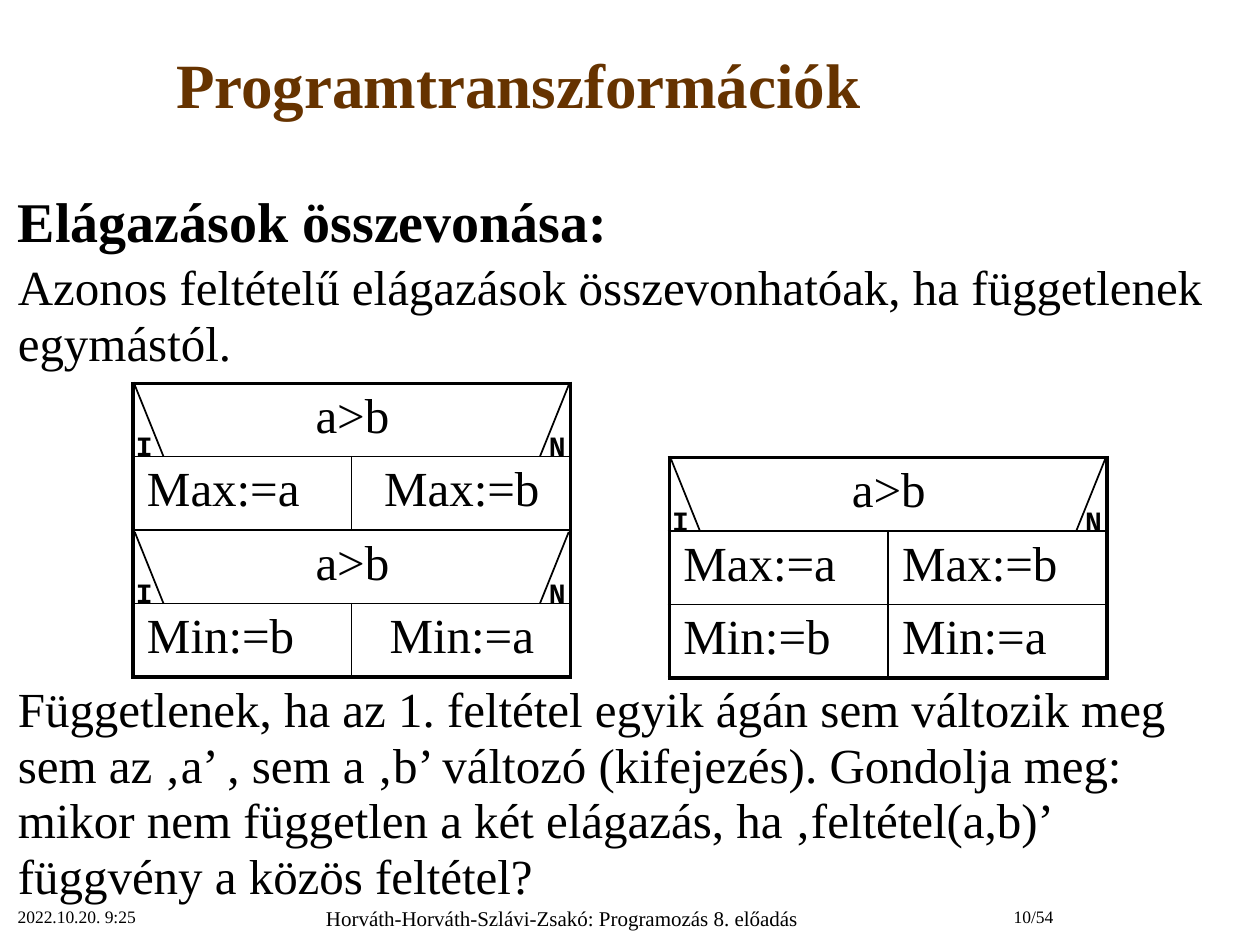
from lxml import etree
from pptx import Presentation
from pptx.dml.color import RGBColor
from pptx.enum import shapes, text
from pptx.oxml import ns
from pptx.util import Pt

SERIF, MONO = "Times New Roman", "Courier New"
BLACK, BROWN = "000000", "663300"
LEFT, CENTER, RIGHT = text.PP_ALIGN.LEFT, text.PP_ALIGN.CENTER, text.PP_ALIGN.RIGHT
THICK, THIN = 2.25, 1
COLUMN, ROW = 125, 42


def color(value):
    return RGBColor.from_string(value)


def place(shape, box):
    for name, value in zip(("left", "top", "width", "height"), box):
        setattr(shape, name, Pt(value))


def write(paragraph, words, size, align=LEFT, font=SERIF, bold=False, ink=BLACK):
    paragraph.alignment = align
    run = paragraph.add_run()
    run.text = words
    for name, value in {"name": font, "size": Pt(size), "bold": bold}.items():
        setattr(run.font, name, value)
    run.font.color.rgb = color(ink)


def add_label(slide, box, words, size, wrap=True, **style):
    label = slide.shapes.add_textbox(*map(Pt, box))
    label.text_frame.word_wrap = wrap
    write(label.text_frame.paragraphs[0], words, size, **style)


def add_title(slide, box, words):
    title = slide.shapes.title
    place(title, box)
    frame = title.text_frame
    frame.auto_size = text.MSO_AUTO_SIZE.NONE
    frame.vertical_anchor = text.MSO_ANCHOR.MIDDLE
    frame.paragraphs[0].line_spacing = 0.9
    write(frame.paragraphs[0], words, 36, CENTER, bold=True, ink=BROWN)


def add_body(slide, box, items):
    """Each item is (words, size, bold, space before)."""
    body = slide.placeholders[1]
    place(body, box)
    frame = body.text_frame
    frame.auto_size = text.MSO_AUTO_SIZE.NONE
    frame.vertical_anchor = text.MSO_ANCHOR.TOP
    for index, (words, size, bold, before) in enumerate(items):
        paragraph = frame.add_paragraph() if index else frame.paragraphs[0]
        write(paragraph, words, size, bold=bold)
        paragraph.line_spacing = 0.95
        paragraph.space_before = Pt(before)
        properties = paragraph._p.get_or_add_pPr()
        properties.set("marL", "0")
        properties.set("indent", "0")
        etree.SubElement(properties, ns.qn("a:buNone"))


def set_borders(cell, widths):
    """Widths are given for left, right, top and bottom."""
    properties = cell._tc.get_or_add_tcPr()
    for index, (side, width) in enumerate(zip("LRTB", widths)):
        line = etree.Element(ns.qn(f"a:ln{side}"), w=str(Pt(width)))
        fill = etree.SubElement(line, ns.qn("a:solidFill"))
        etree.SubElement(fill, ns.qn("a:srgbClr"), val=BLACK)
        properties.insert(index, line)


def add_diagonal(slide, start, end):
    line = slide.shapes.add_connector(
        shapes.MSO_CONNECTOR.STRAIGHT, *map(Pt, start + end))
    line.line.color.rgb = color(BLACK)
    line.line.width = Pt(1)
    etree.SubElement(line._element.spPr, ns.qn("a:effectLst"))


def add_branch(slide, left, top, condition, steps, no_align=LEFT,
               top_edge=THICK, bottom_edge=THICK):
    """Structogram of a branch: condition above, yes and no steps below."""
    rows = [(condition, ""), *steps]
    width, last = 2 * COLUMN, len(rows) - 1
    grid = slide.shapes.add_table(
        len(rows), 2, *map(Pt, (left, top, width, ROW * len(rows)))).table
    grid.first_row = grid.horz_banding = False
    for column in grid.columns:
        column.width = Pt(COLUMN)
    grid.cell(0, 0).merge(grid.cell(0, 1))

    for r, row in enumerate(rows):
        grid.rows[r].height = Pt(ROW)
        for c, words in enumerate(row):
            cell = grid.cell(r, c)
            cell.fill.background()
            cell.margin_left = Pt(8)
            set_borders(cell, (
                THIN if c and r else THICK,
                THICK if c or not r else THIN,
                THIN if r else top_edge,
                bottom_edge if r == last else THIN))
            if words:
                align = CENTER if r == 0 else (LEFT, no_align)[c]
                write(cell.text_frame.paragraphs[0], words, 28, align)

    # Corner diagonals with the yes and no marks
    right = left + width
    add_diagonal(slide, (left + 1, top + 1), (left + 17.5, top + ROW))
    add_diagonal(slide, (right - 1, top + 1), (right - 17.5, top + ROW))
    for x, mark in ((left - 5.5, "I"), (right - 19.5, "N")):
        add_label(slide, (x, top + 22.5, 23, 26.5), mark, 16,
                  wrap=False, font=MONO, bold=True)


def add_footer(slide, top):
    add_label(slide, (3, top, 150, 28), "2022.10.20. 9:25", 10)
    add_label(slide, (152.5, top, 337.5, 26),
              "Horváth-Horváth-Szlávi-Zsakó: Programozás 8. előadás", 12, align=CENTER)
    add_label(slide, (517.5, top, 91.5, 28), "10/54", 10, align=RIGHT)


def main():
    deck = Presentation()
    deck.slide_width, deck.slide_height = Pt(720), Pt(540)
    slide = deck.slides.add_slide(deck.slide_layouts[1])

    add_title(slide, (0, 6.5, 592.5, 88), "Programtranszformációk")
    add_body(slide, (3, 106, 703.5, 374.5), [
        ("Elágazások összevonása:", 32, True, 3),
        ("Azonos feltételű elágazások összevonhatóak, ha függetlenek egymástól.",
         28, False, 3),
        ("Függetlenek, ha az 1. feltétel egyik ágán sem változik meg sem az ‚a’ , "
         "sem a ‚b’ változó (kifejezés). Gondolja meg: mikor nem független a két "
         "elágazás, ha ‚feltétel(a,b)’ függvény a közös feltétel?", 28, False, 177),
    ])

    # Two separate branches, then the merged one
    maximum, minimum = ("Max:=a", "Max:=b"), ("Min:=b", "Min:=a")
    add_branch(slide, 76, 219, "a>b", [maximum], CENTER, bottom_edge=THIN)
    add_branch(slide, 76, 219 + 2 * ROW, "a>b", [minimum], CENTER, top_edge=THIN)
    add_branch(slide, 382.5, 261.5, "a>b", [maximum, minimum])

    add_footer(slide, 514)
    deck.save("out.pptx")


if __name__ == "__main__":
    main()
